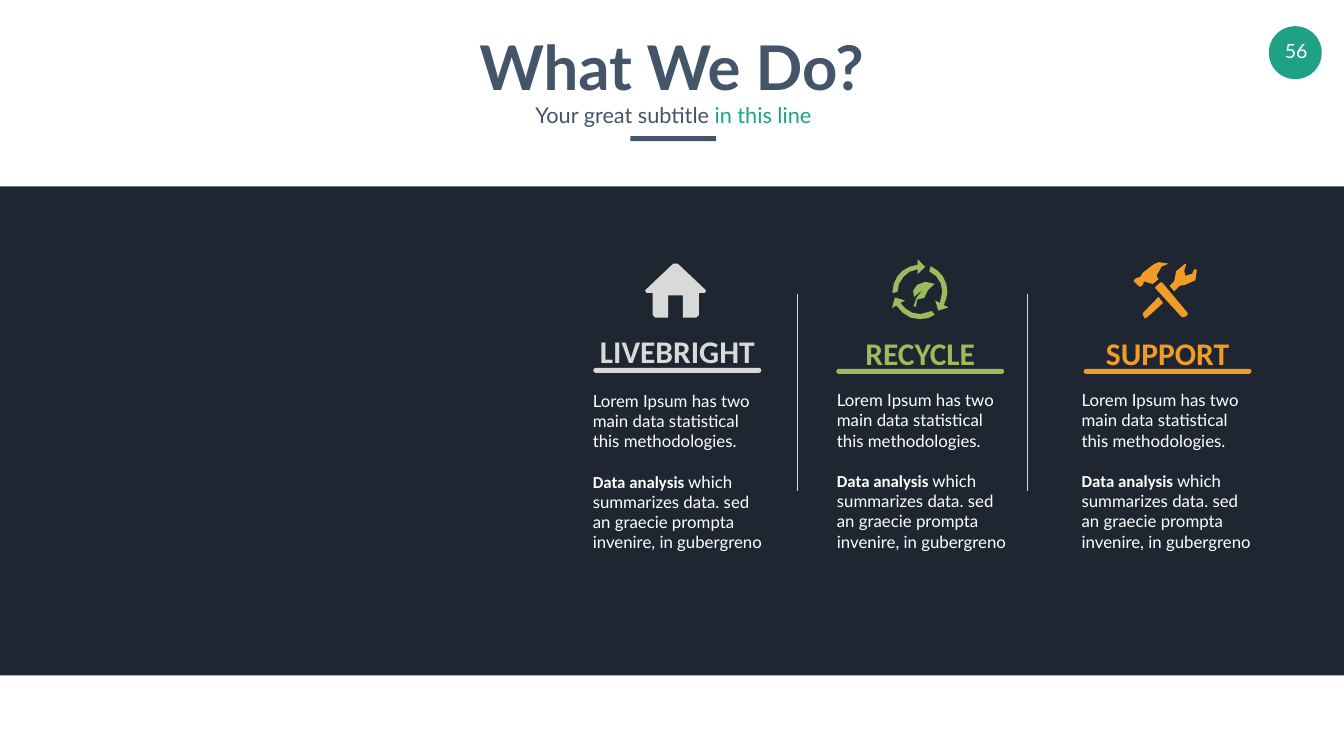
from dataclasses import dataclass
from math import dist

from lxml.etree import SubElement
from pptx import Presentation
from pptx.dml.color import RGBColor
from pptx.enum.dml import MSO_LINE
from pptx.enum.shapes import MSO_CONNECTOR, MSO_SHAPE
from pptx.enum.text import MSO_ANCHOR, MSO_AUTO_SIZE, PP_ALIGN
from pptx.oxml.ns import qn
from pptx.util import Cm, Pt

COLORS = {
    "white": "FFFFFF", "panel": "1E2731", "slate": "445469", "teal": "1EA185",
    "grey": "D9D9D9", "green": "9BBB5C", "orange": "F29B26",
}
ICON_UNIT = Cm(0.0254)
CHORD = 16  # icon units covered by one straight piece of a curve

# Icon outlines: two numbers are a corner, six are a cubic curve
HOUSE = [
    [(123, 58), (67, 5), (65, 0, 60, 0, 58, 5), (2, 58), (0, 61, 2, 63, 5, 63),
     (17, 63), (17, 107), (17, 109, 17, 112, 22, 112), (48, 112), (48, 68),
     (77, 68), (77, 112), (104, 112), (109, 112, 109, 109, 109, 107),
     (109, 63), (121, 63), (123, 63, 126, 61, 123, 58)],
]
RECYCLE = [
    [(112, 96), (92, 102), (86, 82), (95, 87), (98, 80, 100, 73, 100, 65),
     (100, 47, 90, 31, 74, 24), (77, 14), (97, 23, 110, 42, 110, 65),
     (110, 74, 108, 83, 103, 91)],
    [(56, 109), (39, 109, 25, 100, 17, 87), (26, 82), (6, 76), (0, 97), (9, 92),
     (18, 108, 36, 119, 56, 119), (67, 119, 77, 116, 85, 110), (79, 103),
     (73, 107, 65, 109, 56, 109)],
    [(11, 65), (11, 42, 29, 23, 51, 20), (51, 30), (66, 15), (51, 0), (51, 11),
     (23, 13, 1, 36, 1, 65), (2, 67)],
    [(42, 63), (40, 67, 41, 71, 44, 75), (48, 69, 57, 62, 62, 60),
     (51, 69, 44, 81, 43, 94), (48, 94), (48, 89, 49, 83, 50, 80),
     (55, 81, 60, 81, 64, 77), (73, 70, 70, 51, 85, 49), (65, 38, 45, 50, 42, 63)],
]
TOOLS = [
    [(20, 38), (24, 34, 29, 36, 36, 43), (38, 43), (40, 43, 47, 34, 49, 34),
     (45, 27), (33, 12, 75, 3, 69, 3), (64, 0, 51, 0, 49, 0),
     (42, 3, 31, 9, 27, 14), (18, 21), (15, 23, 18, 27, 13, 29),
     (9, 32, 7, 29, 4, 32), (0, 36), (0, 38), (9, 47), (13, 49),
     (13, 47, 15, 45, 18, 45), (18, 45, 18, 38, 20, 38)],
    [(56, 40), (53, 40), (45, 47), (42, 51), (95, 109),
     (95, 112, 98, 112, 100, 109), (107, 105), (107, 101)],
    [(125, 16), (122, 12, 122, 14, 120, 14), (120, 16, 116, 21, 116, 23),
     (113, 27, 109, 32, 102, 27), (95, 21, 98, 18, 100, 16),
     (100, 14, 104, 7, 104, 5), (102, 3), (100, 5, 87, 9, 84, 18),
     (82, 25, 87, 32, 80, 38), (71, 47), (80, 58), (91, 47),
     (93, 45, 98, 43, 102, 45), (113, 47, 118, 43, 122, 36),
     (125, 29, 125, 18, 125, 16)],
    [(18, 101), (15, 103, 15, 105, 18, 105), (22, 112), (27, 109),
     (58, 81), (49, 69)],
]


@dataclass
class Column:
    heading: str
    color: str
    center: float
    heading_top: float
    bar_top: float
    body_left: float
    body_top: float
    icon: list
    icon_left: float
    icon_top: float
    divider: float | None = None


COLUMNS = [
    Column("LIVEBRIGHT", "grey", 34.13, 16.62, 18.54, 29.62, 19.56,
           HOUSE, 32.45, 13.16, 40.18),
    Column("RECYCLE", "green", 46.37, 16.69, 18.59, 41.92, 19.53,
           RECYCLE, 44.94, 13.06, 51.77),
    Column("SUPPORT", "orange", 58.83, 16.69, 18.59, 54.25, 19.53,
           TOOLS, 57.13, 13.21),
]


def rgb(name: str) -> RGBColor:
    return RGBColor.from_string(COLORS[name])


def paint(sp, color: str) -> None:
    sp.shadow.inherit = False
    sp.fill.solid()
    sp.fill.fore_color.rgb = rgb(color)
    sp.line.fill.background()


def add_block(s, kind, x: float, y: float, w: float, h: float, color: str):
    sp = s.shapes.add_shape(kind, Cm(x), Cm(y), Cm(w), Cm(h))
    paint(sp, color)
    return sp


def add_box(s, x: float, y: float, w: float, h: float):
    tf = s.shapes.add_textbox(Cm(x), Cm(y), Cm(w), Cm(h)).text_frame
    tf.word_wrap = True
    return tf


def style(r, size: int, color: str, font: str = "Lato", bold: bool = False) -> None:
    r.font.size, r.font.name, r.font.bold = Pt(size), font, bold
    r.font.color.rgb = rgb(color)


def add_run(p, text: str, *look) -> None:
    r = p.add_run()
    r.text = text
    style(r, *look)


def flatten(contour: list) -> list:
    points = [contour[0]]
    for step in contour[1:]:
        start, end = points[-1], step[-2:]
        if len(step) == 6:
            corners = (start, step[:2], step[2:4], end)
            count = max(1, round(dist(start, end) / CHORD))
            for t in (i / count for i in range(1, count)):
                weights = ((1 - t) ** 3, 3 * t * (1 - t) ** 2, 3 * t * t * (1 - t), t ** 3)
                points.append(tuple(sum(w * c[axis] for w, c in zip(weights, corners))
                                    for axis in (0, 1)))
        points.append(end)
    return points


def add_icon(s, col: Column) -> None:
    contours = [flatten(c) for c in col.icon]
    builder = s.shapes.build_freeform(*contours[0][0], scale=ICON_UNIT)
    for i, points in enumerate(contours):
        if i:
            builder.move_to(*points[0])
        builder.add_line_segments(points[1:], close=True)
    paint(builder.convert_to_shape(Cm(col.icon_left), Cm(col.icon_top)), col.color)


def add_divider(s, x: float) -> None:
    line = s.shapes.add_connector(MSO_CONNECTOR.STRAIGHT, Cm(x), Cm(14.81), Cm(x), Cm(24.69))
    line.line.color.rgb = rgb("grey")
    line.line.width = Pt(0.5)
    line.line.dash_style = MSO_LINE.ROUND_DOT
    SubElement(line.element.spPr, qn("a:effectLst"))


def add_column(s, col: Column) -> None:
    if col.divider:
        add_divider(s, col.divider)

    tf = add_box(s, col.body_left, col.body_top, 9.37, 8.46)
    add_run(tf.paragraphs[0],
            "Lorem Ipsum has two main data statistical this methodologies.", 24, "white")
    p = tf.add_paragraph()
    p.space_before = Pt(29)
    add_run(p, "Data analysis ", 24, "white", "Calibri", True)
    add_run(p, "which summarizes data. sed an graecie prompta invenire, in gubergreno",
            24, "white")

    p = add_box(s, col.center - 4.9, col.heading_top, 9.8, 1.75).paragraphs[0]
    p.alignment = PP_ALIGN.CENTER
    add_run(p, col.heading, 45, col.color, "Calibri", True)
    bar = add_block(s, MSO_SHAPE.ROUNDED_RECTANGLE, col.center - 4.23,
                    col.bar_top, 8.46, 0.25, col.color)
    bar.adjustments[0] = 0.5
    add_icon(s, col)


def main() -> None:
    prs = Presentation()
    prs.slide_width, prs.slide_height = Cm(67.72), Cm(38.1)
    s = prs.slides.add_slide(prs.slide_layouts[5])

    # Page number
    add_block(s, MSO_SHAPE.OVAL, 63.93, 1.32, 2.67, 2.67, "teal")
    tf = add_box(s, 64.19, 1.7, 2.24, 1.7)
    tf.word_wrap = False
    tf.margin_top = tf.margin_bottom = Cm(0.25)
    tf.paragraphs[0].alignment = PP_ALIGN.CENTER
    add_run(tf.paragraphs[0], "56", 28, "white")

    # Dark panel
    add_block(s, MSO_SHAPE.RECTANGLE, 0, 9.4, 67.72, 24.64, "panel")

    # Title, short rule and subtitle
    title = s.shapes.title
    title.left, title.top, title.width, title.height = Cm(16.67), Cm(1.35), Cm(34.34), Cm(4.01)
    tf = title.text_frame
    tf.text = "What We Do?"
    tf.auto_size = MSO_AUTO_SIZE.NONE
    tf.vertical_anchor = MSO_ANCHOR.TOP
    tf.paragraphs[0].alignment = PP_ALIGN.CENTER
    style(tf.paragraphs[0].runs[0], 88, "slate", "Lato", True)
    add_block(s, MSO_SHAPE.RECTANGLE, 31.76, 6.86, 4.32, 0.25, "slate")

    tf = add_box(s, 17.73, 4.55, 32.39, 2.34)
    tf.margin_left = tf.margin_right = Cm(0.61)
    tf.margin_top = tf.margin_bottom = Cm(0.3)
    p = tf.paragraphs[0]
    p.alignment, p.line_spacing = PP_ALIGN.CENTER, 1.2
    add_run(p, "Your great subtitle ", 31, "slate")
    add_run(p, "in this line", 31, "teal")

    # Three columns
    for col in COLUMNS:
        add_column(s, col)

    prs.save("out.pptx")


if __name__ == "__main__":
    main()
